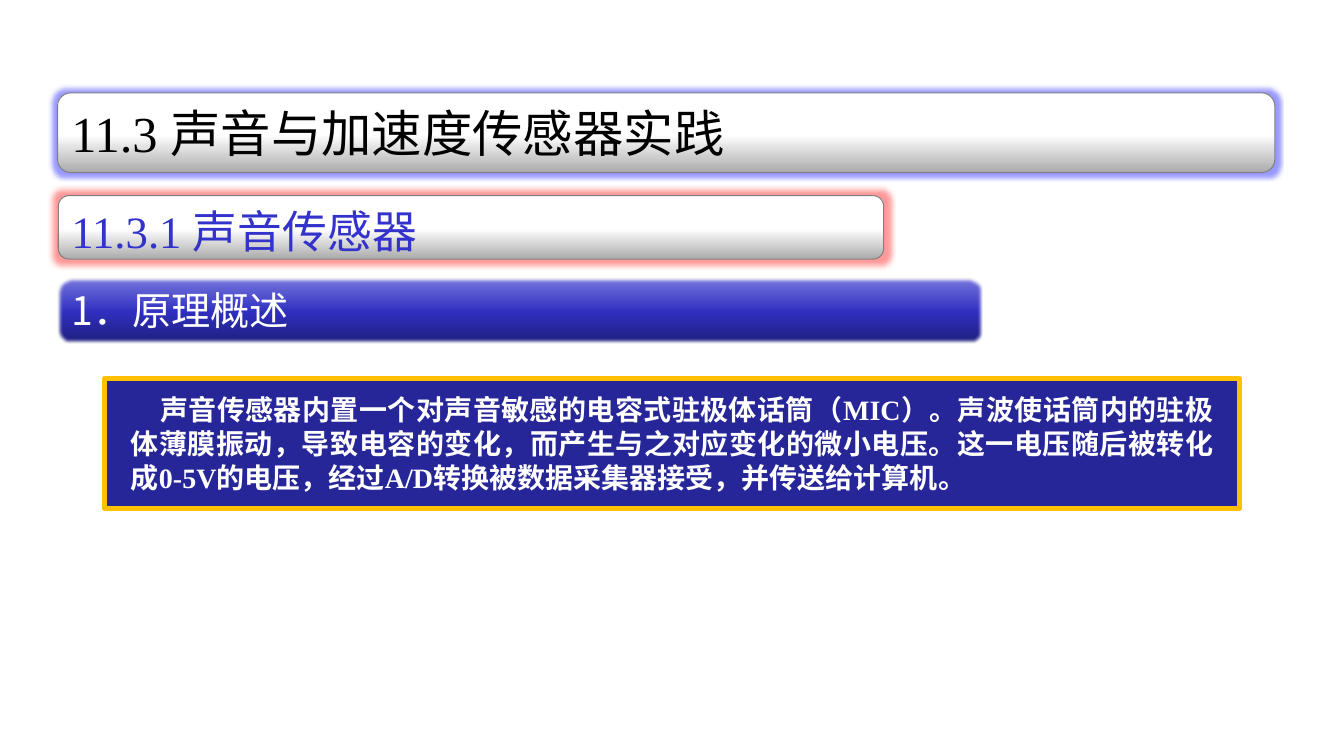
import pptx
import pptx.dml.color
import pptx.enum.dml
import pptx.enum.shapes
import pptx.enum.text
import pptx.oxml
import pptx.oxml.ns
import pptx.util
import copy

Cm, Pt = pptx.util.Cm, pptx.util.Pt
RGB = pptx.dml.color.RGBColor.from_string
SHAPE = pptx.enum.shapes.MSO_SHAPE
TEXT = pptx.enum.text

theme = {
    "silver": [(0, "ABABAB"), (0.48, "FFFFFF"), (1, "FFFFFF")],
    "indigo": [(0, "1E1E7C"), (0.48, "2F2FC0"), (1, "7878DE")],
    "outline": "808080", "gold": "FFC000", "navy": "262699",
    "black": "000000", "blue": "3333CC", "white": "FFFFFF",
    "blue_glow": "3333FF", "red_glow": "FF3333",
    "serif": "Times New Roman", "sans": "Noto Sans CJK SC",
    "title": 36, "section": 32, "topic": 28, "body": 20,
}


def add_panel(kind, left, top, width, height, outline, weight):
    panel = page.shapes.add_shape(kind, Cm(left), Cm(top), Cm(width), Cm(height))
    panel.shadow.inherit = False
    panel.line.color.rgb = RGB(theme[outline])
    panel.line.width = Pt(weight)
    return panel


def write(panel, words, frame_format, para_format, face, size, color, bold=False):
    frame = panel.text_frame
    para = frame.paragraphs[0]
    span = para.add_run()
    span.text = words
    span.font.color.rgb = RGB(theme[color])
    font_format = {"name": theme[face], "size": Pt(theme[size]), "bold": bold}
    for target, values in ((frame, frame_format), (para, para_format), (span.font, font_format)):
        for name, value in values.items():
            setattr(target, name, value)
    return para


deck = pptx.Presentation()
deck.slide_width, deck.slide_height = Cm(33.87), Cm(19.05)
page = deck.slides.add_slide(deck.slide_layouts[6])

# Explanation box
explanation = add_panel(SHAPE.RECTANGLE, 2.64, 9.53, 28.6, 3.28, "gold", 3.75)
explanation.fill.solid()
explanation.fill.fore_color.rgb = RGB(theme["navy"])
para = write(
    explanation,
    "声音传感器内置一个对声音敏感的电容式驻极体话筒（MIC）。声波使话筒内的驻极体薄膜振动，"
    "导致电容的变化，而产生与之对应变化的微小电压。这一电压随后被转化成0-5V的电压，"
    "经过A/D转换被数据采集器接受，并传送给计算机。",
    {"word_wrap": True, "vertical_anchor": TEXT.MSO_ANCHOR.MIDDLE,
     "margin_left": Cm(0.66), "margin_right": Cm(0.66),
     "margin_top": Cm(0.36), "margin_bottom": Cm(0.36)},
    {"alignment": TEXT.PP_ALIGN.JUSTIFY, "line_spacing": Pt(24)},
    "serif", "body", "white", True)
para._p.get_or_add_pPr().set("indent", str(Cm(0.74)))

# Heading bars: words, left, top, width, height, face, size, color, gradient, glow, edge points
headings = [
    ("11.3.1 声音传感器", 1.47, 4.93, 20.8, 1.6, "serif", "section", "blue", "silver", "red_glow", 8),
    ("1．原理概述", 1.47, 7.01, 23.27, 1.63, "sans", "topic", "white", "indigo", None, 2.5),
    ("11.3 声音与加速度传感器实践", 1.45, 2.34, 30.68, 2.01, "serif", "title", "black", "silver", "blue_glow", 6),
]
for words, left, top, width, height, face, size, color, gradient, glow, edge in headings:
    bar = add_panel(SHAPE.ROUNDED_RECTANGLE, left, top, width, height, "outline", 0.75)

    # Three-stop gradient, running upwards
    bar.fill.gradient()
    bar.fill.gradient_angle = 90
    stop_list = bar._element.spPr.find(".//" + pptx.oxml.ns.qn("a:gsLst"))
    stop_list.append(copy.deepcopy(stop_list[-1]))
    for stop, (position, shade) in zip(bar.fill.gradient_stops, theme[gradient]):
        stop.position = position
        stop.color.rgb = RGB(shade)

    # Glow or soft edge
    tag = "glow" if glow else "softEdge"
    tint = f'<a:srgbClr val="{theme[glow]}"><a:alpha val="50000"/></a:srgbClr>' if glow else ""
    effects = bar._element.spPr.find(pptx.oxml.ns.qn("a:effectLst"))
    effects.append(pptx.oxml.parse_xml(
        f'<a:{tag} {pptx.oxml.ns.nsdecls("a")} rad="{Pt(edge)}">{tint}</a:{tag}>'))

    write(bar, words, {"word_wrap": False, "vertical_anchor": TEXT.MSO_ANCHOR.TOP},
          {"alignment": TEXT.PP_ALIGN.LEFT}, face, size, color)

deck.save("out.pptx")
